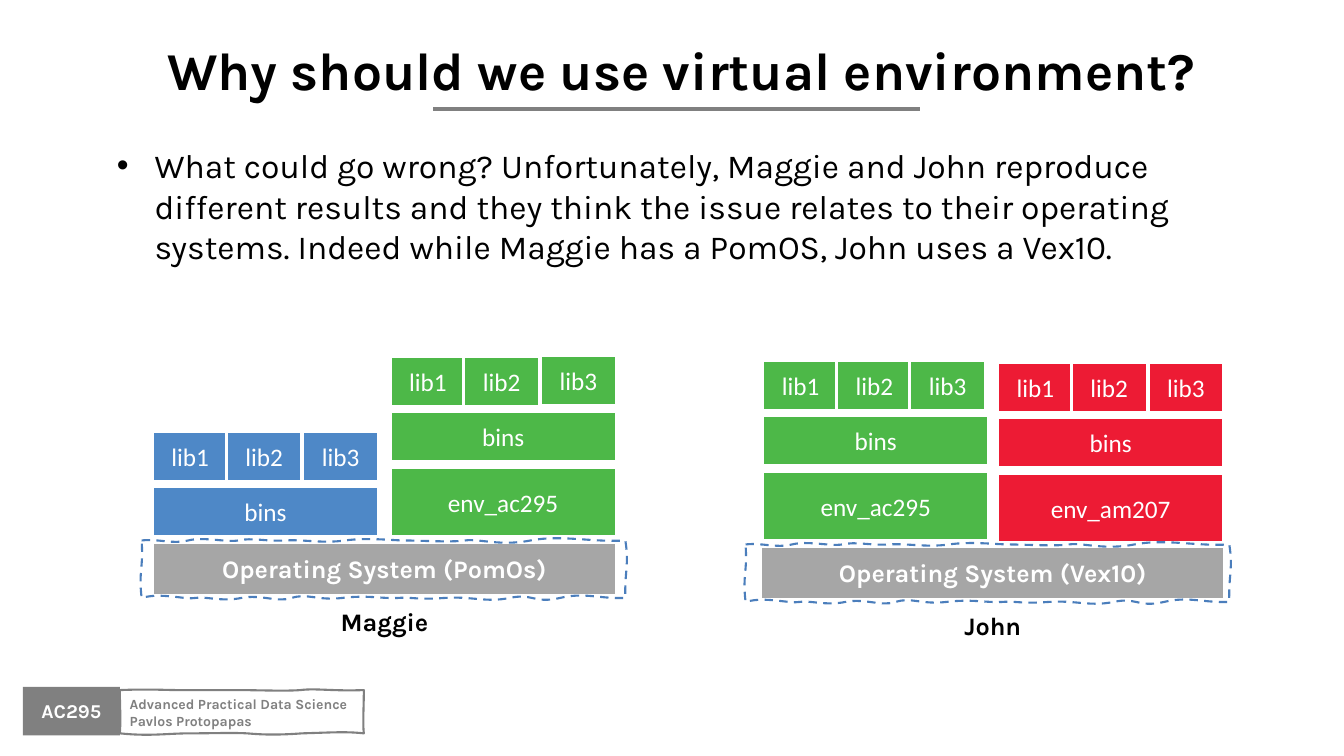
import pptx
import pptx.util
import pptx.dml.color
import pptx.enum.dml
import pptx.enum.shapes
import pptx.enum.text
import pptx.oxml.ns
from lxml import etree

Cm, Pt, qn = pptx.util.Cm, pptx.util.Pt, pptx.oxml.ns.qn
ALIGN = pptx.enum.text.PP_ALIGN
ANCHOR = pptx.enum.text.MSO_ANCHOR

GREY, OS_GREY, WHITE, BLACK = "808080", "A6A6A6", "FFFFFF", "000000"
BLUE, GREEN, RED, DASH_BLUE = "4E88C7", "4DB848", "ED1B34", "4B7EBC"

# Wavy outlines: each row is one cubic segment (two controls, end), in cm
OS_WAVE = [
    ((.43, -.05), (.74, .1), (1.17, 0)), ((1.57, -.1), (2.11, .05), (2.44, 0)),
    ((2.79, -.08), (3.12, .03), (3.61, 0)), ((4.09, -.03), (4.55, .08), (5.13, 0)),
    ((5.69, -.08), (6.3, 0), (6.65, 0)), ((6.99, 0), (7.82, .05), (8.15, 0)),
    ((8.51, -.05), (9.02, .15), (9.8, 0)), ((10.59, -.15), (11.33, .05), (12.19, 0)),
    ((12.29, .61), (12.17, .76), (12.19, 1.45)),
    ((11.48, 1.47), (11.18, 1.3), (10.54, 1.45)), ((9.88, 1.6), (9.86, 1.32), (9.27, 1.45)),
    ((8.66, 1.57), (8.33, 1.4), (7.62, 1.45)), ((6.91, 1.5), (6.83, 1.42), (6.45, 1.45)),
    ((6.07, 1.47), (5.69, 1.37), (5.05, 1.45)), ((4.42, 1.52), (4.17, 1.32), (3.78, 1.45)),
    ((3.4, 1.57), (3.02, 1.35), (2.51, 1.45)), ((2.01, 1.55), (1.6, 1.4), (1.35, 1.45)),
    ((1.12, 1.5), (.48, 1.3), (0, 1.45)), ((-.08, .76), (.05, .71), (0, 0)),
]
COURSE_WAVE = [
    ((.71, -.03), (1.17, 0), (1.47, 0)), ((1.78, 0), (2.59, 0), (3, 0)),
    ((3.43, 0), (4.17, .03), (4.55, 0)), ((4.93, -.05), (5.38, .03), (6.15, 0)),
    ((6.15, .41), (6.12, .86), (6.15, 1.09)),
    ((5.69, 1.04), (5.31, 1.07), (4.6, 1.09)), ((3.91, 1.14), (3.56, 1.12), (3.2, 1.09)),
    ((2.82, 1.07), (2.34, 1.09), (1.78, 1.09)), ((1.19, 1.09), (.76, 1.17), (0, 1.09)),
    ((.03, .81), (0, .3), (0, 0)),
]


def rgb(value):
    return pptx.dml.color.RGBColor.from_string(value)


def set_attrs(obj, values):
    for name, value in values.items():
        setattr(obj, name, value)


def write(sp, lines, size, color, font="Karla", bold=False, align=ALIGN.CENTER,
          anchor=ANCHOR.MIDDLE, **frame):
    tf = sp.text_frame
    set_attrs(tf, {"word_wrap": True, "vertical_anchor": anchor,
                   "auto_size": pptx.enum.text.MSO_AUTO_SIZE.NONE, **frame})
    for i, line in enumerate(lines):
        p = tf.add_paragraph() if i else tf.paragraphs[0]
        set_attrs(p, {"alignment": align, "space_before": Pt(0)})
        r = p.add_run()
        r.text = line
        set_attrs(r.font, {"name": font, "size": Pt(size), "bold": bold})
        r.font.color.rgb = rgb(color)


def place(sp, x, y, w, h):
    set_attrs(sp, {"left": Cm(x), "top": Cm(y), "width": Cm(w), "height": Cm(h)})


def block(s, x, y, w, h, fill, text, font="Calibri", bold=False, size=18, line=WHITE,
          color=WHITE):
    sp = s.shapes.add_shape(pptx.enum.shapes.MSO_SHAPE.RECTANGLE, Cm(x), Cm(y), Cm(w), Cm(h))
    sp.shadow.inherit = False
    sp.fill.solid()
    sp.fill.fore_color.rgb = rgb(fill)
    if line:
        sp.line.color.rgb = rgb(line)
        sp.line.width = Pt(2.25)
    else:
        sp.line.fill.background()
    write(sp, [text], size, color, font, bold, margin_left=0, margin_right=0)


def wavy(s, x, y, wave, color):
    builder = s.shapes.build_freeform(Cm(x), Cm(y))
    builder.add_line_segments([(Cm(x + px), Cm(y + py)) for row in wave for px, py in row],
                              close=True)
    sp = builder.convert_to_shape()
    # Turn every three line points into one cubic curve
    points = list(sp._element.iter(qn("a:lnTo")))
    for i in range(0, len(points), 3):
        curve = etree.Element(qn("a:cubicBezTo"))
        points[i].addprevious(curve)
        for point in points[i:i + 3]:
            curve.append(point[0])
            point.getparent().remove(point)
    sp.shadow.inherit = False
    sp.fill.background()
    sp.line.color.rgb = rgb(color)
    sp.line.width = Pt(1.5)
    return sp


def heading(s, x, y, w, h):
    place(s.shapes.title, x, y, w, h)
    write(s.shapes.title, ["Why should we use virtual environment?"], 38, BLACK, bold=True,
          anchor=ANCHOR.TOP, margin_top=Cm(.13))
    # Underline
    rule = s.shapes.add_connector(pptx.enum.shapes.MSO_CONNECTOR.STRAIGHT,
                                  Cm(x + 7.69), Cm(y + 1.93), Cm(x + 19.96), Cm(y + 1.93))
    rule.line.color.rgb = rgb(GREY)
    rule.line.width = Pt(3)
    etree.SubElement(rule._element.spPr, qn("a:effectLst"))


def bullet_text(s, x, y, w, h):
    body = s.placeholders[1]
    place(body, x, y, w, h)
    write(body, ["What could go wrong? Unfortunately, Maggie and John reproduce different "
                 "results and they think the issue relates to their operating systems. "
                 "Indeed while Maggie has a PomOS, John uses a Vex10."],
          24, BLACK, align=ALIGN.LEFT, anchor=ANCHOR.TOP)
    pPr = body.text_frame.paragraphs[0]._p.get_or_add_pPr()
    pPr.set("marL", str(Cm(.95)))
    pPr.set("indent", str(-Cm(.95)))
    etree.SubElement(pPr, qn("a:buFont")).set("typeface", "Arial")
    etree.SubElement(pPr, qn("a:buChar")).set("char", "\u2022")


def stack(s, x, y, color, env=None, lib3=(3.79, 0)):
    if env:
        block(s, x, y + 2.8, 5.7, 1.75, color, env)
    block(s, x, y + 1.39, 5.7, 1.27, color, "bins")
    for i, (dx, dy) in enumerate(((0, 0), (1.86, 0), lib3), 1):
        block(s, x + dx, y + dy, 1.91, 1.27, color, f"lib{i}")


def machine(s, x, y, os_name, frame_dx, stacks):
    block(s, x, y, 11.7, 1.33, OS_GREY, f"Operating System ({os_name})", "Karla", True)
    for dx, dy, options in stacks:
        stack(s, x + dx, y + dy, **options)
    frame = wavy(s, x + frame_dx, y - .05, OS_WAVE, DASH_BLUE)
    frame.line.dash_style = pptx.enum.dml.MSO_LINE.DASH


def owner_label(s, x, y, w, h, owner, fill=None):
    if fill:
        block(s, x, y, w, h, fill, owner, "Karla", True, color=BLACK)
    else:
        label = s.shapes.add_textbox(Cm(x), Cm(y), Cm(w), Cm(h))
        write(label, [owner], 18, BLACK, bold=True)


def course_tag(s, x, y):
    block(s, x, y, 2.44, 1.22, GREY, "AC295", "Karla", True, 14, None)
    sp = wavy(s, x + 2.44, y + .08, COURSE_WAVE, GREY)
    write(sp, ["Advanced Practical Data Science", "Pavlos Protopapas"], 10, GREY,
          bold=True, align=ALIGN.LEFT, margin_top=0, margin_bottom=0)


prs = pptx.Presentation()
prs.slide_width, prs.slide_height = Cm(33.87), Cm(19.05)
s = prs.slides.add_slide(prs.slide_layouts[1])

heading(s, 3.23, .81, 27.89, 1.8)
bullet_text(s, 2.69, 3.53, 28.42, 3.33)
owner_label(s, 19.17, 15.65, 11.7, .23, "John", WHITE)
machine(s, 19.17, 13.77, "Vex10", -.38, [
    (.05, -4.69, {"color": GREEN, "env": "env_ac295", "lib3": (3.71, 0)}),
    (5.97, -4.64, {"color": RED, "env": "env_am207"})])
owner_label(s, 3.84, 15.55, 11.7, .23, "Maggie")
machine(s, 3.84, 13.67, "PomOs", -.27, [
    (0, -2.8, {"color": BLUE}),
    (5.99, -4.69, {"color": GREEN, "env": "env_ac295", "lib3": (3.79, -.03)})])
course_tag(s, .58, 17.31)

prs.save("out.pptx")
